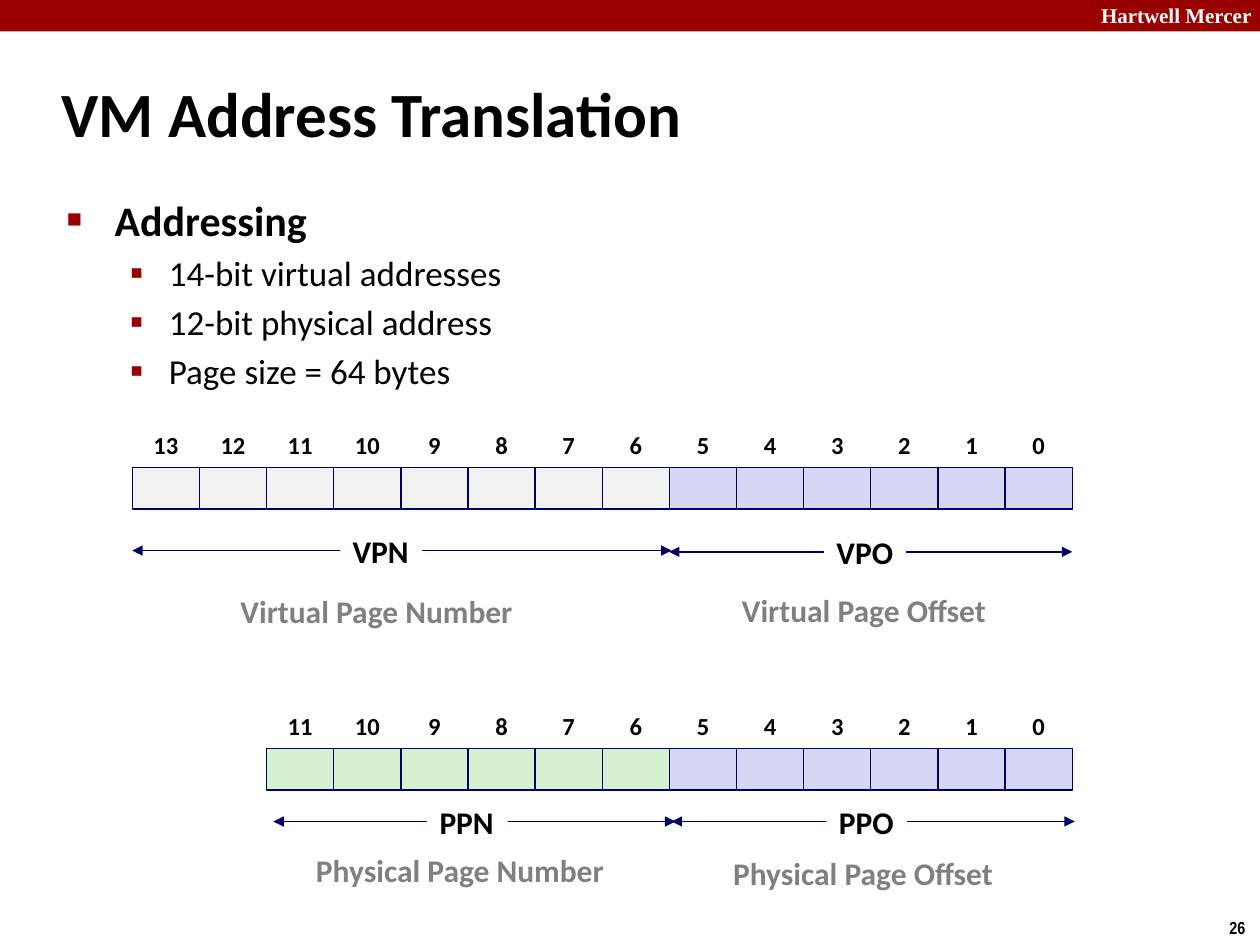
from lxml import etree
from pptx import Presentation
from pptx.dml.color import RGBColor
from pptx.enum import shapes, text
from pptx.oxml import ns
from pptx.util import Inches, Pt

THEME = {
    "font": "Calibri", "band_font": "Times New Roman", "number_font": "Arial Narrow",
    "red": "990000", "navy": "000066", "black": "000000", "white": "FFFFFF",
    "grey": "808080", "pale_grey": "F2F2F2", "lilac": "D6D6F5", "green": "D5F1CF",
    "title": 36, "heading": 24, "item": 20, "field": 18, "bit": 14, "band": 12, "number": 10,
    "line": 0.74,
}

BAND = "Hartwell Mercer"
PAGE = "26"
TITLE = "VM Address Translation"
# text, level, size key, bold, indent, hanging, bullet, bullet size %
POINTS = [("Addressing", 0, "heading", True, 0.38, 0.38, "■", 60)] + [
    (item, 1, "item", False, 0.81, 0.31, "▪", 110)
    for item in ("14-bit virtual addresses", "12-bit physical address", "Page size = 64 bytes")
]
OFFSET_BITS = 6
# bit count, top of cells, colour of page number cells
ADDRESSES = [(14, 3.71, "pale_grey"), (12, 5.94, "green")]
# label, arrow start, arrow end, arrow y, label left, label width
FIELDS = [
    ("VPO", 5.31, 8.51, 4.38, 6.54, 0.65),
    ("PPO", 5.33, 8.53, 6.52, 6.56, 0.64),
    ("PPN", 2.17, 5.36, 6.52, 3.39, 0.64),
    ("VPN", 1.05, 5.33, 4.37, 2.70, 0.65),
]
# meaning, left, top, width
MEANINGS = [
    ("Virtual Page Number", 1.81, 4.69, 2.38),
    ("Virtual Page Offset", 5.79, 4.68, 2.16),
    ("Physical Page Number", 2.41, 6.74, 2.50),
    ("Physical Page Offset", 5.72, 6.77, 2.29),
]
ROW_LEFT, ROW_RIGHT, CELL_H = 1.05, 8.51, 0.33
CELL_W = (ROW_RIGHT - ROW_LEFT) / 14
LABEL_H = 0.36


def color(key):
    """Return a theme colour."""
    return RGBColor.from_string(THEME[key])


def add_run(paragraph, words, size, ink="black", font="font", bold=True):
    """Add one formatted run."""
    run = paragraph.add_run()
    run.text = words
    run.font.name, run.font.size, run.font.bold = THEME[font], Pt(THEME[size]), bold
    run.font.color.rgb = color(ink)


def add_rect(parent, left, top, width, height, fill, outlined=False):
    """Add a flat rectangle, with a navy outline if asked."""
    rect = parent.add_shape(shapes.MSO_SHAPE.RECTANGLE, Inches(left), Inches(top),
                            Inches(width), Inches(height))
    rect.shadow.inherit = False
    rect.fill.solid()
    rect.fill.fore_color.rgb = color(fill)
    if outlined:
        rect.line.color.rgb = color("navy")
        rect.line.width = Pt(THEME["line"])
    else:
        rect.line.fill.background()
    return rect


def add_box(parent, left, top, width, height):
    """Add an empty text box."""
    return parent.add_textbox(Inches(left), Inches(top), Inches(width), Inches(height))


def write(box, words, size, ink="black", font="font", align="LEFT", anchor="TOP",
          wrap=False, grow=True, spacing=None, before=None):
    """Set a one-line text in a shape."""
    frame = box.text_frame
    frame.word_wrap = wrap
    frame.auto_size = (text.MSO_AUTO_SIZE.SHAPE_TO_FIT_TEXT if grow
                       else text.MSO_AUTO_SIZE.NONE)
    frame.vertical_anchor = getattr(text.MSO_ANCHOR, anchor)
    line = frame.paragraphs[0]
    line.alignment = getattr(text.PP_ALIGN, align)
    if spacing:
        line.line_spacing, line.space_before = spacing, Pt(before)
    add_run(line, words, size, ink, font)


def add_arrow(parent, start, end, y):
    """Add a horizontal line with a head at both ends."""
    arrow = parent.add_connector(shapes.MSO_CONNECTOR.STRAIGHT, Inches(start), Inches(y),
                                 Inches(end), Inches(y))
    arrow.line.color.rgb = color("navy")
    arrow.line.width = Pt(THEME["line"])
    outline = arrow.line._get_or_add_ln()
    for tag in ("a:headEnd", "a:tailEnd"):
        etree.SubElement(outline, ns.qn(tag), type="triangle")
    etree.SubElement(arrow._element.spPr, ns.qn("a:effectLst"))


def set_bullet(paragraph, indent, hanging, mark, percent):
    """Give a paragraph its indent and red bullet."""
    props = paragraph._p.get_or_add_pPr()
    props.set("marL", str(Inches(indent)))
    props.set("indent", str(-Inches(hanging)))
    tint = etree.SubElement(props, ns.qn("a:buClr"))
    etree.SubElement(tint, ns.qn("a:srgbClr"), val=THEME["red"])
    etree.SubElement(props, ns.qn("a:buSzPct"), val=str(percent * 1000))
    etree.SubElement(props, ns.qn("a:buChar"), char=mark)


def place(holder, left, top, width, height):
    """Move and size a placeholder."""
    holder.left, holder.top = Inches(left), Inches(top)
    holder.width, holder.height = Inches(width), Inches(height)


def add_address(parent, bits, top, page_fill):
    """Draw numbered bit cells, highest bit first, ending at the right edge."""
    for bit in reversed(range(bits)):
        left = ROW_RIGHT - (bit + 1) * CELL_W
        fill = "lilac" if bit < OFFSET_BITS else page_fill
        add_rect(parent, left, top, CELL_W, CELL_H, fill, outlined=True)
        write(add_box(parent, left, top - CELL_H, CELL_W, CELL_H), str(bit), "bit",
              align="CENTER", anchor="MIDDLE", grow=False, spacing=0.88, before=5.2)


deck = Presentation()
deck.slide_width, deck.slide_height = Inches(10), Inches(7.5)
slide = deck.slides.add_slide(deck.slide_layouts[1])
canvas = slide.shapes

add_rect(canvas, 0, 0, 10, 0.25, "red")
write(add_box(canvas, 8.64, -0.03, 1.43, 0.3), BAND, "band", "white", "band_font", wrap=True)
write(add_box(canvas, 9.66, 7.23, 0.34, 0.27), PAGE, "number", font="number_font")

heading = canvas.title
place(heading, 0.39, 0.48, 8.3, 0.83)
write(heading, TITLE, "title", anchor="MIDDLE", wrap=True, grow=False)

body = slide.placeholders[1]
place(body, 0.43, 1.49, 8.64, 5.44)
body.text_frame.auto_size = text.MSO_AUTO_SIZE.NONE
for index, (words, level, size, bold, *bullet) in enumerate(POINTS):
    point = body.text_frame.add_paragraph() if index else body.text_frame.paragraphs[0]
    point.level = level
    set_bullet(point, *bullet)
    add_run(point, words, size, bold=bold)

for address in ADDRESSES:
    add_address(canvas, *address)

for label, start, end, y, left, width in FIELDS:
    field = canvas.add_group_shape().shapes
    add_arrow(field, start, end, y)
    write(add_rect(field, left, y - 0.16, width, LABEL_H, "white"), label, "field",
          spacing=0.88, before=6.8)

for meaning, left, top, width in MEANINGS:
    write(add_box(canvas, left, top, width, LABEL_H), meaning, "field", "grey",
          spacing=0.88, before=6.8)

deck.save("out.pptx")
